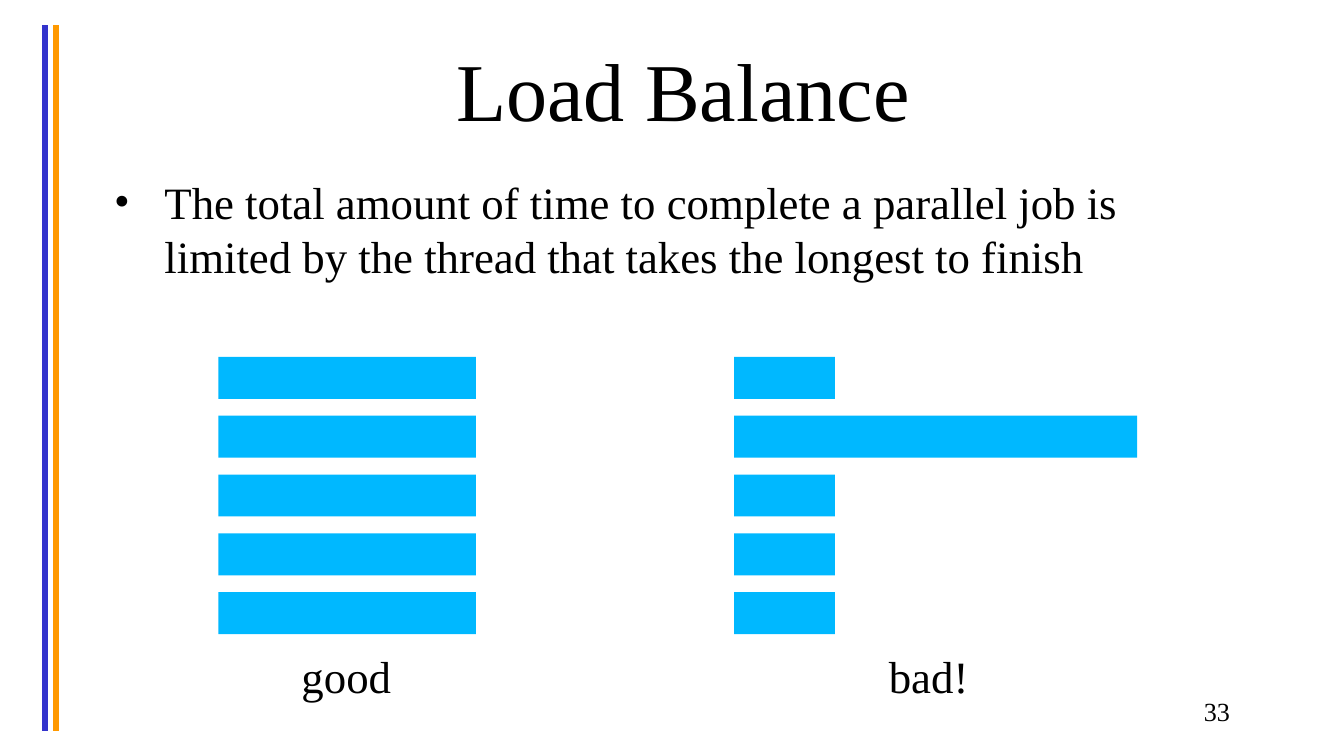
from lxml import etree
from pptx import Presentation
from pptx.dml.color import RGBColor
from pptx.enum import shapes, text
from pptx.oxml import ns
from pptx.util import Pt

BLACK = RGBColor(0x00, 0x00, 0x00)
BLUE = RGBColor(0x33, 0x33, 0xCC)
ORANGE = RGBColor(0xFF, 0x99, 0x00)
CYAN = RGBColor(0x00, 0xB8, 0xFF)
FONT = "Times New Roman"
LEFT, MID, RIGHT = text.PP_ALIGN.LEFT, text.PP_ALIGN.CENTER, text.PP_ALIGN.RIGHT


def write(shape, words, size, align=LEFT, wrap=True):
    frame = shape.text_frame
    frame.text = words
    frame.word_wrap = wrap
    para = frame.paragraphs[0]
    para.alignment = align
    font = para.runs[0].font
    font.name, font.size, font.color.rgb = FONT, Pt(size), BLACK
    return para


def add_box(slide, x, y, w, h):
    return slide.shapes.add_textbox(Pt(x), Pt(y), Pt(w), Pt(h))


def draw_rails(slide, x, y, gap, h):
    for i, color in enumerate((BLUE, ORANGE)):
        left = Pt(x + i * gap)
        rail = slide.shapes.add_connector(
            shapes.MSO_CONNECTOR.STRAIGHT, left, Pt(y), left, Pt(y + h))
        rail.line.color.rgb = color
        rail.line.width = Pt(3)
        etree.SubElement(rail.element.spPr, ns.qn("a:effectLst"))


def set_title(slide, x, y, w, h, words):
    title = slide.shapes.title
    title.left, title.top, title.width, title.height = Pt(x), Pt(y), Pt(w), Pt(h)
    write(title, words, 44, MID)
    title.text_frame.vertical_anchor = text.MSO_ANCHOR.MIDDLE
    title.text_frame.auto_size = text.MSO_AUTO_SIZE.NONE


def add_point(slide, x, y, w, h, words):
    para = write(add_box(slide, x, y, w, h), words, 24)
    para.space_before = Pt(4.8)
    # Bullet with a hanging indent
    props = para._p.get_or_add_pPr()
    props.set("marL", str(Pt(27)))
    props.set("indent", str(-Pt(27)))
    etree.SubElement(props, ns.qn("a:buFont"), typeface=FONT)
    etree.SubElement(props, ns.qn("a:buChar"), char="•")


def draw_bars(slide, x, y, widths, label, center):
    thick, pitch = 22.5, 31.5
    for i, w in enumerate(widths):
        bar = slide.shapes.add_shape(
            shapes.MSO_SHAPE.RECTANGLE, Pt(x), Pt(y + i * pitch), Pt(w), Pt(thick))
        bar.fill.solid()
        bar.fill.fore_color.rgb = CYAN
        bar.line.fill.background()
        bar.shadow.inherit = False
    # Label below the bars, wide enough for one line
    w = 66
    box = add_box(slide, center - w / 2, y + 153, w, 36)
    write(box, label, 24, MID, wrap=False)
    box.text_frame.auto_size = text.MSO_AUTO_SIZE.SHAPE_TO_FIT_TEXT


def main():
    deck = Presentation()
    deck.slide_width, deck.slide_height = Pt(720), Pt(405)
    slide = deck.slides.add_slide(deck.slide_layouts[5])

    # Frame and text
    draw_rails(slide, 24, 13.5, 6, 378)
    set_title(slide, 54, 13.5, 624, 67.5, "Load Balance")
    add_point(slide, 54, 90, 624, 270,
              "The total amount of time to complete a parallel job is "
              "limited by the thread that takes the longest to finish")

    # Even and uneven thread times
    draw_bars(slide, 117, 191.25, [138] * 5, "good", 185.5)
    draw_bars(slide, 393.25, 191.25, [54, 216, 54, 54, 54], "bad!", 497.5)

    # Page number
    write(add_box(slide, 516, 369, 150, 27), "33", 14, RIGHT)
    deck.save("out.pptx")


if __name__ == "__main__":
    main()
